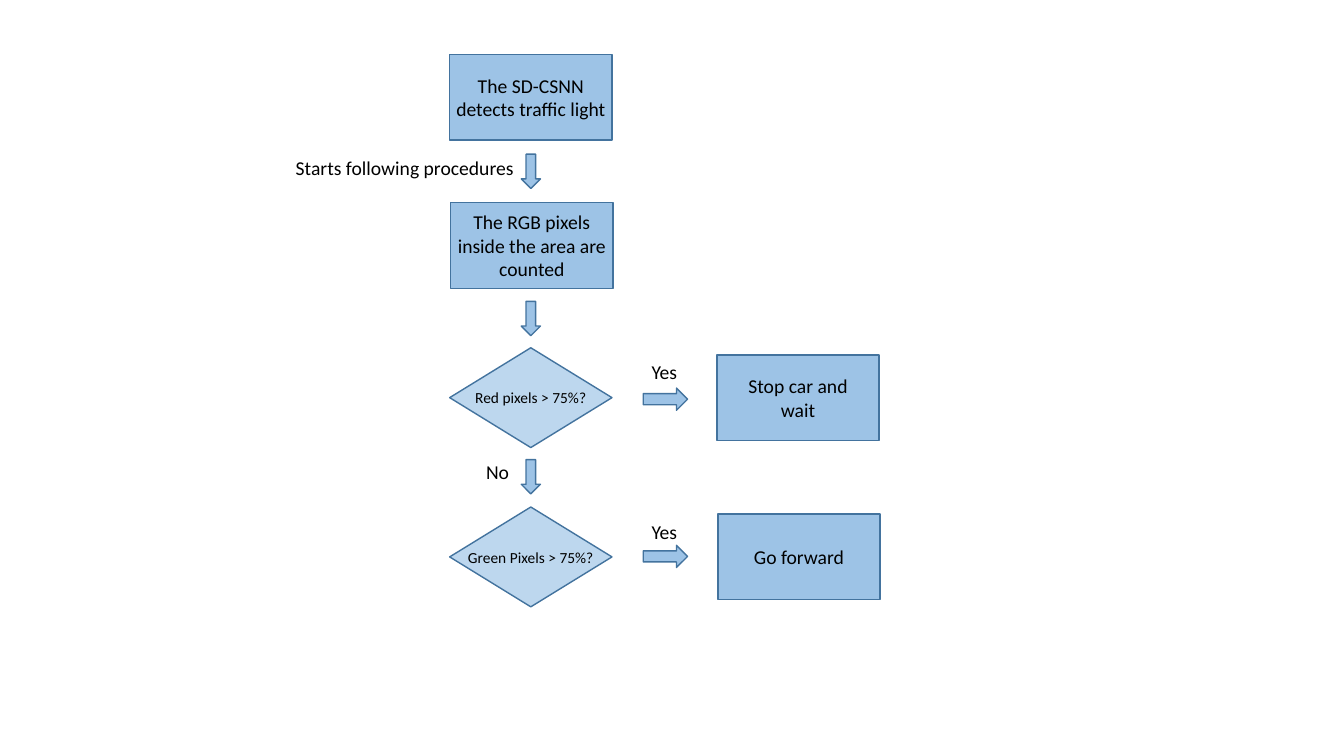
import pptx
import pptx.dml.color
import pptx.enum.shapes
import pptx.enum.text
import pptx.util

Inches = pptx.util.Inches
Shapes = pptx.enum.shapes.MSO_SHAPE
BOX_BLUE = pptx.dml.color.RGBColor(0x9D, 0xC3, 0xE6)
DECISION_BLUE = pptx.dml.color.RGBColor(0xBD, 0xD7, 0xEE)
OUTLINE = pptx.dml.color.RGBColor(0x43, 0x73, 0x9E)
BLACK = pptx.dml.color.RGBColor(0x00, 0x00, 0x00)

presentation = pptx.Presentation()
presentation.slide_width = Inches(13.33)
presentation.slide_height = Inches(7.5)
slide = presentation.slides.add_slide(presentation.slide_layouts[6])


def add_flow_shape(kind, left, top, width, height, fill):
    shape = slide.shapes.add_shape(
        kind, Inches(left), Inches(top), Inches(width), Inches(height))
    shape.shadow.inherit = False
    shape.fill.solid()
    shape.fill.fore_color.rgb = fill
    shape.line.color.rgb = OUTLINE
    shape.line.width = pptx.util.Pt(1)
    return shape


def write_text(shape, text, size, wrap, margin):
    frame = shape.text_frame
    frame_format = {
        "word_wrap": wrap,
        "vertical_anchor": pptx.enum.text.MSO_ANCHOR.MIDDLE,
        "margin_left": Inches(margin),
        "margin_right": Inches(margin),
    }
    for name, value in frame_format.items():
        setattr(frame, name, value)
    paragraph = frame.paragraphs[0]
    paragraph.alignment = pptx.enum.text.PP_ALIGN.CENTER
    run = paragraph.add_run()
    run.text = text
    for name, value in {"name": "Calibri", "size": pptx.util.Pt(size)}.items():
        setattr(run.font, name, value)
    run.font.color.rgb = BLACK


# Process boxes: left, top, side margin, text
for left, top, margin, text in [
    (4.46, 0.54, 0.03, "The SD-CSNN detects traffic light"),
    (4.47, 2.01, 0.03, "The RGB pixels inside the area are counted"),
    (7.11, 3.52, 0.17, "Stop car and wait"),
    (7.12, 5.10, 0.17, "Go forward"),
]:
    box = add_flow_shape(Shapes.RECTANGLE, left, top, 1.61, 0.85, BOX_BLUE)
    write_text(box, text, 14, True, margin)

# Decisions
for top, text in [(3.45, "Red pixels > 75%?"), (5.03, "Green Pixels > 75%?")]:
    decision = add_flow_shape(
        Shapes.FLOWCHART_DECISION, 4.46, top, 1.61, 0.99, DECISION_BLUE)
    write_text(decision, text, 11, False, 0)

# Block arrows down the main column and out to the actions
for top in (1.53, 2.99, 4.56):
    add_flow_shape(Shapes.DOWN_ARROW, 5.17, top, 0.19, 0.34, BOX_BLUE)
for top in (3.85, 5.41):
    add_flow_shape(Shapes.RIGHT_ARROW, 6.38, top, 0.44, 0.22, BOX_BLUE)

# Arrow labels
for left, top, width, text in [
    (2.82, 1.49, 2.39, "Starts following procedures"),
    (4.72, 4.51, 0.43, "No"),
    (6.36, 3.52, 0.46, "Yes"),
    (6.36, 5.10, 0.46, "Yes"),
]:
    label = slide.shapes.add_textbox(
        Inches(left), Inches(top), Inches(width), Inches(0.34))
    write_text(label, text, 14, False, 0.1)

presentation.save("out.pptx")
